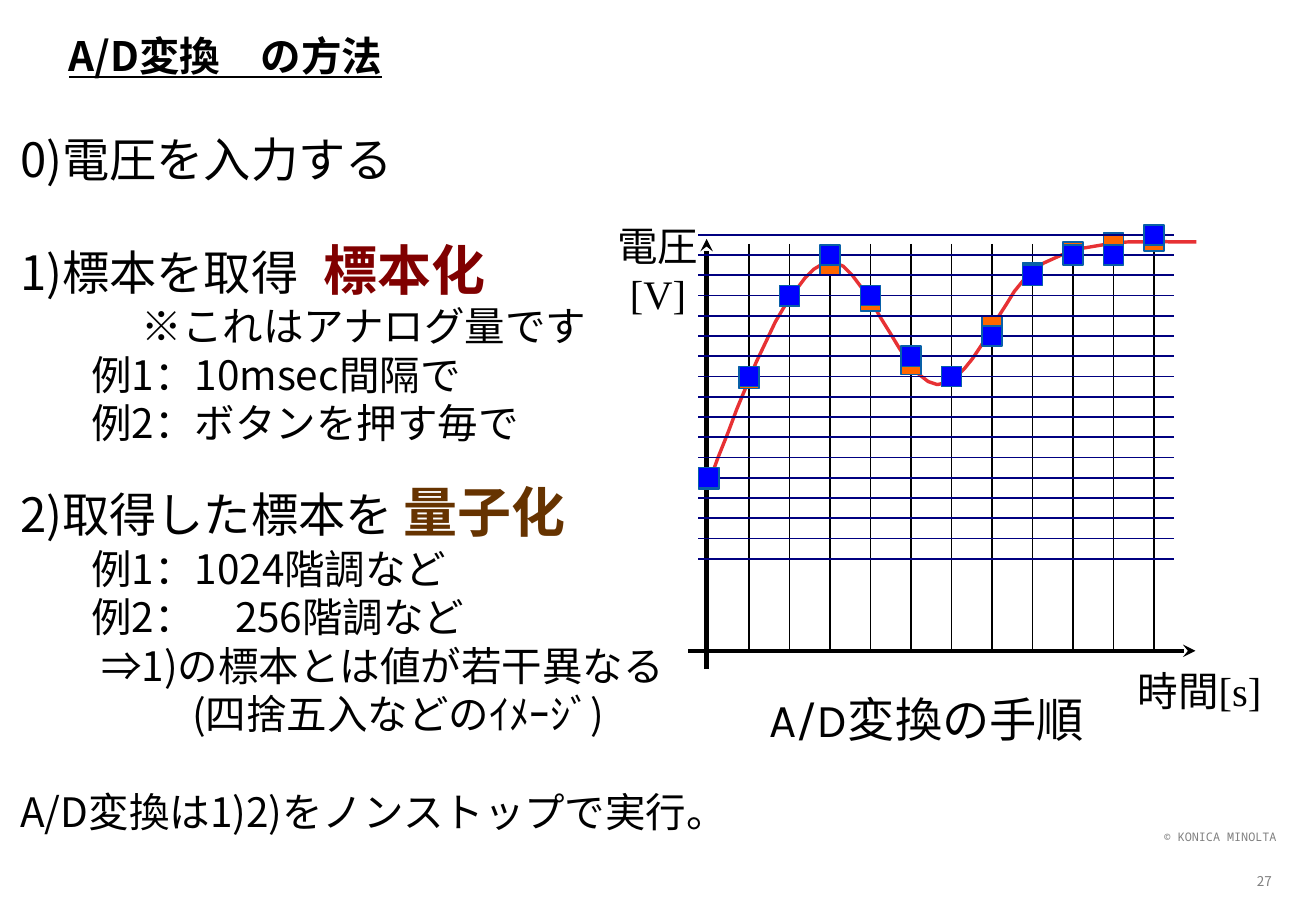
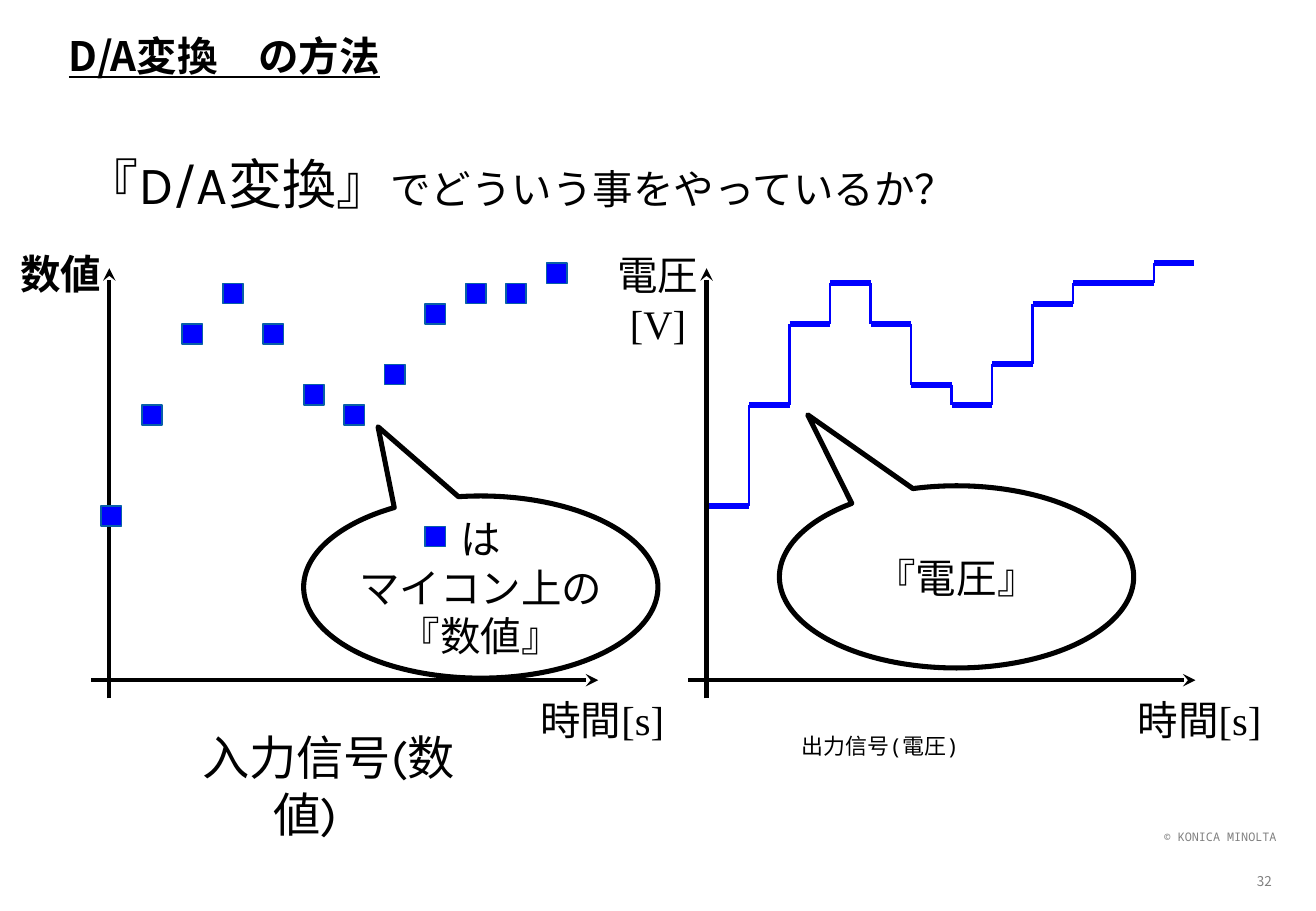
from lxml import etree
from pptx import Presentation
from pptx.dml.color import RGBColor
from pptx.enum.shapes import MSO_CONNECTOR, MSO_SHAPE
from pptx.enum.text import MSO_ANCHOR, PP_ALIGN
from pptx.oxml.ns import qn
from pptx.util import Emu, Pt

STRAIGHT = MSO_CONNECTOR.STRAIGHT
RECTANGLE = MSO_SHAPE.RECTANGLE
CALLOUT = MSO_SHAPE.OVAL_CALLOUT
TOP, MIDDLE = MSO_ANCHOR.TOP, MSO_ANCHOR.MIDDLE
LEFT, CENTER, RIGHT = PP_ALIGN.LEFT, PP_ALIGN.CENTER, PP_ALIGN.RIGHT

SCALE = 7620
LINE_HEIGHT = 1.2
SANS, MONO = "Noto Sans CJK JP", "Noto Sans Mono"
SERIF, CAPTION = "Times New Roman", "Karla"
BLACK, GRAY, BLUE, NAVY = "000000", "808080", "0000FF", "000080"
ORANGE, RED, EDGE = "FF6600", "E73134", "0860A8"
MAROON, BROWN = "800000", "663300"

STEP, LEVEL_HEIGHT, MARKER = 40, 20, 20
LEVELS = [12, 7, 3, 1, 3, 6, 7, 5, 2, 1, 1, 0]
SAMPLES = [473, 374, 293, 262, 297, 360, 372, 322, 270, 249, 240, 238]
CURVE = [
    [(700, 478), (738, 377), (776, 276), (814, 260)],
    [(814, 260), (851, 244), (890, 380), (926, 380)],
    [(926, 380), (964, 380), (989, 283), (1031, 260)],
    [(1031, 260), (1073, 236), (1128, 238), (1182, 239)],
]


def px(value):
    return Emu(value * SCALE)


def rgb(value):
    return RGBColor.from_string(value)


def set_line(shape, color, width):
    shape.line.color.rgb = rgb(color)
    shape.line.width = Pt(width)


def add_run(paragraph, text, font=SANS, size=24, color=BLACK, bold=False, underline=False):
    run = paragraph.add_run()
    run.text = text
    run.font.name = font
    run.font.size = Pt(size)
    run.font.bold = bold
    run.font.underline = underline
    run.font.color.rgb = rgb(color)
    east_asian = etree.SubElement(run.font._element, qn("a:ea"))
    east_asian.set("typeface", SANS)


def write(frame, text, align=LEFT, indent=0, hanging=0, before=0, tab=0, line=None, **style):
    paragraph = frame.paragraphs[0]
    if paragraph.runs:
        paragraph = frame.add_paragraph()
    paragraph.alignment = align
    paragraph.line_spacing = Pt((line or style.get("size", 24)) * LINE_HEIGHT)
    paragraph.space_before = Pt(before)
    properties = paragraph._p.get_or_add_pPr()
    properties.set("marL", str(px(indent + hanging)))
    properties.set("indent", str(px(-hanging)))
    if tab:
        stops = etree.SubElement(properties, qn("a:tabLst"))
        etree.SubElement(stops, qn("a:tab"), pos=str(px(tab)), algn="l")
    add_run(paragraph, text, **style)
    return paragraph


def prepare_frame(frame, anchor, wrap=True):
    frame.margin_left = frame.margin_top = frame.margin_right = frame.margin_bottom = 0
    frame.vertical_anchor = anchor
    frame.word_wrap = wrap
    return frame


def add_box(slide, left, top, width, height, anchor=TOP):
    box = slide.shapes.add_textbox(px(left), px(top), px(width), px(height))
    return prepare_frame(box.text_frame, anchor)


def add_line(slide, start, end, color=BLACK, width=1, arrow=False):
    line = slide.shapes.add_connector(STRAIGHT, *map(px, start + end))
    set_line(line, color, width)
    if arrow:
        etree.SubElement(line.line._get_or_add_ln(), qn("a:tailEnd"), type="stealth")
    etree.SubElement(line._element.spPr, qn("a:effectLst"))


def add_marker(slide, x, y, color=BLUE):
    half = MARKER // 2
    marker = slide.shapes.add_shape(RECTANGLE, px(x - half), px(y - half), px(MARKER), px(MARKER))
    marker.shadow.inherit = False
    marker.fill.solid()
    marker.fill.fore_color.rgb = rgb(color)
    set_line(marker, EDGE, 1)


def add_markers(slide, left, heights, color=BLUE):
    for index, y in enumerate(heights):
        add_marker(slide, left + index * STEP, y, color)


def level_heights(top):
    return [top + level * LEVEL_HEIGHT for level in LEVELS]


def add_axes(slide, x, y, labels, bold=False):
    add_line(slide, (x, y + 18), (x, y - 407), width=2.5, arrow=True)
    add_line(slide, (x - 18, y), (x + 483, y), width=2.5, arrow=True)
    frame = add_box(slide, x - 108, y - 427, 120, 50 * len(labels), MIDDLE)
    for label in labels:
        write(frame, label, align=CENTER, font=SERIF, bold=bold)
    frame = add_box(slide, x + 402, y + 4, 170, 70, MIDDLE)
    write(frame, "時間[s]", align=CENTER, font=SERIF)


def add_curve(slide):
    points = []
    for a, b, c, d in CURVE:
        for index in range(13):
            t = index / 12
            u = 1 - t
            weights = (u ** 3, 3 * u * u * t, 3 * u * t * t, t ** 3)
            points.append(tuple(
                sum(weight * point[axis] for weight, point in zip(weights, (a, b, c, d)))
                for axis in (0, 1)))
    builder = slide.shapes.build_freeform(*points[0], scale=SCALE)
    builder.add_line_segments(points[1:], close=False)
    curve = builder.convert_to_shape()
    curve.shadow.inherit = False
    curve.fill.background()
    set_line(curve, RED, 2)


def add_callout(slide, left, top, tip, lines):
    callout = slide.shapes.add_shape(CALLOUT, px(left), px(top), px(350), px(180))
    callout.shadow.inherit = False
    callout.fill.background()
    set_line(callout, BLACK, 3)
    callout.adjustments[0], callout.adjustments[1] = tip
    frame = prepare_frame(callout.text_frame, MIDDLE, wrap=False)
    for line in lines:
        write(frame, line, align=CENTER, font=SERIF)


def add_staircase(slide, left, top):
    heights = level_heights(top)
    for index, y in enumerate(heights):
        x = left + index * STEP
        add_line(slide, (x, y), (x + STEP, y), BLUE, 3.5)
        if index and heights[index - 1] != y:
            add_line(slide, (x, heights[index - 1]), (x, y), BLUE, 1.5)


def start_slide(presentation, title, number):
    slide = presentation.slides.add_slide(presentation.slide_layouts[6])
    write(add_box(slide, 1021, 820, 240, 20), "© KONICA MINOLTA",
          align=RIGHT, font=MONO, size=7, color=GRAY)
    write(add_box(slide, 1225, 850, 48, 40, MIDDLE), number, align=CENTER, size=8, color=GRAY)
    write(add_box(slide, 68, 24, 943, 61, MIDDLE), title, bold=True, underline=True)
    return slide


def add_procedure(slide):
    frame = add_box(slide, 20, 129, 740, 661)
    write(frame, "0)電圧を入力する", size=28)
    heading = write(frame, "1)標本を取得\t", size=28, line=32, before=29, tab=380)
    add_run(heading, "標本化", size=32, color=MAROON, bold=True)
    write(frame, "※これはアナログ量です", indent=120)
    write(frame, "例1：10msec間隔で", indent=70)
    write(frame, "例2：ボタンを押す毎で", indent=70)
    heading = write(frame, "2)取得した標本を ", size=28, line=32, before=19)
    add_run(heading, "量子化", size=32, color=BROWN, bold=True)
    write(frame, "例1：1024階調など", indent=70)
    write(frame, "例2：　256階調など", indent=70)
    write(frame, "⇒1)の標本とは値が若干異なる", indent=80)
    write(frame, "(四捨五入などのｲﾒｰｼﾞ)", indent=170)
    write(frame, "A/D変換は1)2)をノンストップで実行。", before=29)


def build_sampling_slide(presentation):
    slide = start_slide(presentation, "A/D変換　の方法", "27")
    add_curve(slide)
    add_axes(slide, 698, 643, ["電圧", "[V]"])
    write(add_box(slide, 760, 682, 340, 60), "A/D変換の手順", font=CAPTION, size=28)
    for index in range(1, len(LEVELS)):
        x = 700 + index * STEP
        add_line(slide, (x, 241), (x, 642))
    add_markers(slide, 700, SAMPLES, ORANGE)
    for index in range(17):
        y = 232 + index * LEVEL_HEIGHT
        add_line(slide, (690, y), (1160, y), NAVY)
    add_procedure(slide)
    add_markers(slide, 700, level_heights(232))


def build_output_slide(presentation):
    slide = start_slide(presentation, "D/A変換　の方法", "32")
    write(add_box(slide, 792, 724, 320, 50), "出力信号(電圧)", font=MONO, size=13)
    add_axes(slide, 108, 672, ["数値"], bold=True)
    add_axes(slide, 698, 672, ["電圧", "[V]"])
    add_markers(slide, 110, level_heights(270))
    write(add_box(slide, 200, 720, 310, 120), "入力信号(数値)", hanging=70, font=CAPTION, size=28)
    question = write(add_box(slide, 83, 149, 1134, 70), "『D/A変換』", font=CAPTION, size=32)
    add_run(question, "でどういう事をやっているか？", font=CAPTION)
    add_marker(slide, 430, 530)
    add_callout(slide, 300, 490, (-0.29, -0.88), ["は", "マイコン上の", "『数値』"])
    add_staircase(slide, 700, 260)
    add_callout(slide, 770, 480, (-0.42, -0.89), ["『電圧』"])


def main():
    presentation = Presentation()
    presentation.slide_width = px(1300)
    presentation.slide_height = px(900)
    build_sampling_slide(presentation)
    build_output_slide(presentation)
    presentation.save("out.pptx")


if __name__ == "__main__":
    main()
